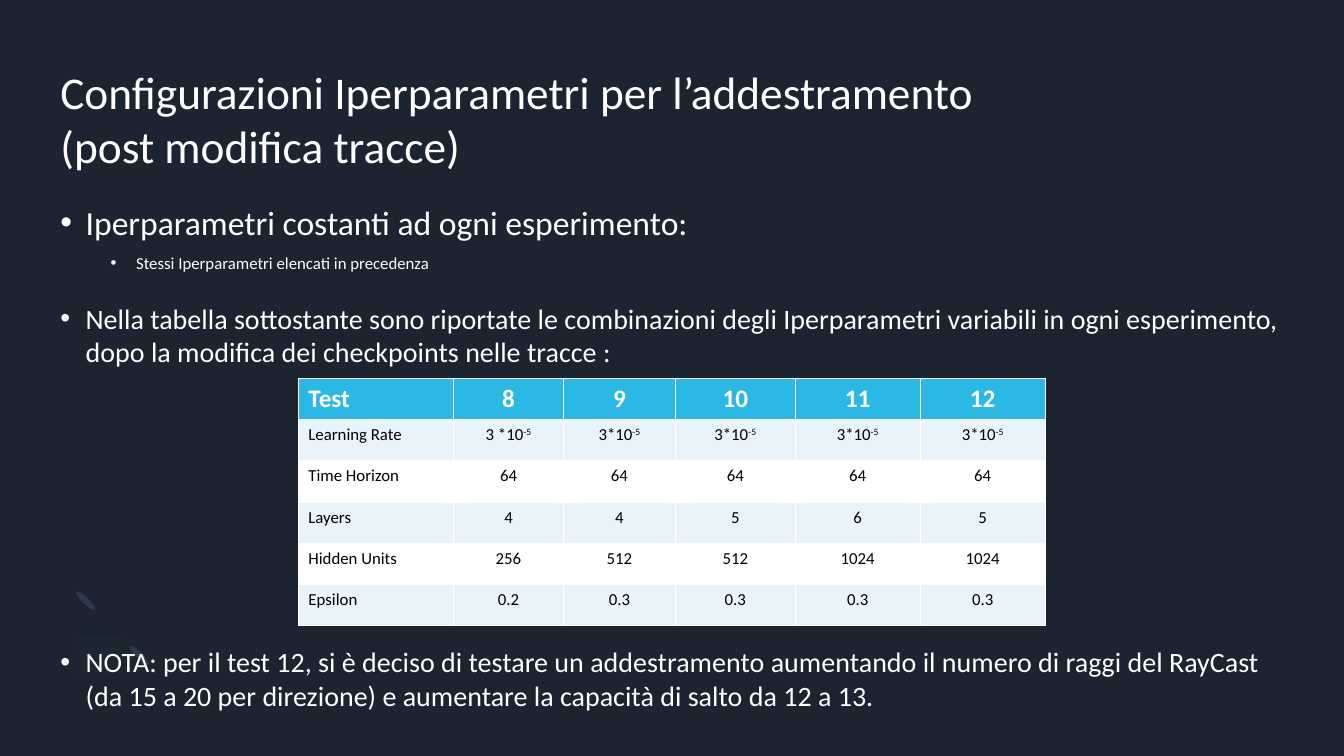
from lxml.etree import SubElement
from pptx import Presentation
from pptx.dml.color import RGBColor
from pptx.enum.shapes import MSO_SHAPE
from pptx.enum.text import MSO_ANCHOR, PP_ALIGN
from pptx.oxml import parse_xml
from pptx.oxml.ns import nsdecls, qn
from pptx.util import Cm, Pt

FONT = "Calibri"
COLORS = {
    "background": "1B2430",
    "ornament": "2B394C",
    "arc": "748EB1",
    "white": "FFFFFF",
    "black": "000000",
    "header": "2BB8E5",
    "band": "E8F3FA",
}
TITLE = "Configurazioni Iperparametri per l’addestramento\v(post modifica tracce)"
INTRO = [
    ("Iperparametri costanti ad ogni esperimento:", 24, 0.64, 0),
    ("Stessi Iperparametri elencati in precedenza", 12, 1.91, 0),
    ("Nella tabella sottostante sono riportate le combinazioni degli "
     "Iperparametri variabili in ogni esperimento, dopo la modifica dei "
     "checkpoints nelle tracce :", 20, 0.64, 12),
]
NOTE = [
    ("NOTA: per il test 12, si è deciso di testare un addestramento aumentando "
     "il numero di raggi del RayCast (da 15 a 20 per direzione) e aumentare la "
     "capacità di salto da 12 a 13.", 20, 0.64, 0),
]
TESTS = [
    ["Test", "8", "9", "10", "11", "12"],
    ["Learning Rate", "3 *10^-5"] + ["3*10^-5"] * 4,
    ["Time Horizon"] + ["64"] * 5,
    ["Layers", "4", "4", "5", "6", "5"],
    ["Hidden Units", "256", "512", "512", "1024", "1024"],
    ["Epsilon", "0.2"] + ["0.3"] * 4,
]
COLUMN_WIDTHS = [3.91, 2.77, 2.82, 3.02, 3.15, 3.15]
ROW_HEIGHT = 1.04
LEFT, WIDTH = 1.52, 30.81
ELLIPSE_CENTRES = [(3.51, 16.51), (2.16, 15.14)]
ARC_START = (1.93, 16.74)
ARC_PARTS = [
    [(1.42, 16.23), (1.47, 15.37), (2.06, 14.78)],
    [(2.51, 15.24)],
    [(2.21, 15.52), (2.18, 15.98), (2.44, 16.21)],
    [(2.69, 16.46), (3.12, 16.43), (3.43, 16.15)],
    [(3.86, 16.61)],
    [(3.3, 17.17), (2.41, 17.25), (1.93, 16.74)],
]


def color(name):
    return RGBColor.from_string(COLORS[name])


def style_font(font, size, name="white", bold=False):
    font.name, font.size, font.bold = FONT, Pt(size), bold
    font.color.rgb = color(name)


def paint(shape, name):
    shape.shadow.inherit = False
    shape.fill.solid()
    shape.fill.fore_color.rgb = color(name)
    shape.line.fill.background()


def arc_points(steps=12):
    points, start = [], ARC_START
    for part in ARC_PARTS:
        if len(part) == 1:
            points += part
        else:
            controls = [start] + part
            for step in range(1, steps + 1):
                t = step / steps
                weights = ((1 - t) ** 3, 3 * t * (1 - t) ** 2, 3 * t * t * (1 - t), t ** 3)
                points.append(tuple(sum(w * point[axis] for w, point in zip(weights, controls))
                                    for axis in (0, 1)))
        start = part[-1]
    return points


def add_ornament(slide):
    for x, y in ELLIPSE_CENTRES:
        ellipse = slide.shapes.add_shape(
            MSO_SHAPE.OVAL, Cm(x - 0.08), Cm(y - 0.33), Cm(0.16), Cm(0.66))
        ellipse.rotation = 135
        paint(ellipse, "ornament")
    builder = slide.shapes.build_freeform(*ARC_START, scale=Cm(1))
    builder.add_line_segments(arc_points(), close=True)
    arc = builder.convert_to_shape()
    paint(arc, "arc")
    arc_color = arc._element.spPr.find(qn("a:solidFill"))[0]
    SubElement(arc_color, qn("a:alpha"), val="3000")


def add_bullets(slide, top, height, items):
    frame = slide.shapes.add_textbox(Cm(LEFT), Cm(top), Cm(WIDTH), Cm(height)).text_frame
    frame.word_wrap = True
    frame.margin_left = frame.margin_right = frame.margin_top = frame.margin_bottom = 0
    for index, (text, size, indent, before) in enumerate(items):
        paragraph = frame.add_paragraph() if index else frame.paragraphs[0]
        paragraph.text = text
        properties = paragraph._p.get_or_add_pPr()
        properties.set("marL", str(Cm(indent)))
        properties.set("indent", str(-Cm(0.64)))
        SubElement(properties, qn("a:buFont"), typeface="Arial")
        SubElement(properties, qn("a:buChar"), char="•")
        paragraph.space_before, paragraph.space_after = Pt(before), Pt(8)
        style_font(paragraph.font, size)


def add_borders(cell):
    properties = cell._tc.get_or_add_tcPr()
    for index, side in enumerate(("lnL", "lnR", "lnT", "lnB")):
        properties.insert(index, parse_xml(
            f'<a:{side} {nsdecls("a")} w="12700"><a:solidFill>'
            f'<a:srgbClr val="{COLORS["white"]}"/></a:solidFill></a:{side}>'))


def fill_cell(cell, text, row, column):
    base, _, exponent = text.partition("^")
    paragraph = cell.text_frame.paragraphs[0]
    paragraph.text = base
    if exponent:
        run = paragraph.add_run()
        run.text = exponent
        run._r.get_or_add_rPr().set("baseline", "30000")
    if column:
        paragraph.alignment = PP_ALIGN.CENTER
    header = row == 0
    style_font(paragraph.font, 18 if header else 12, "white" if header else "black", header)
    cell.fill.solid()
    cell.fill.fore_color.rgb = color("header" if header else "band" if row % 2 else "white")
    add_borders(cell)


def add_tests(slide):
    table = slide.shapes.add_table(
        len(TESTS), len(COLUMN_WIDTHS), Cm(7.52), Cm(9.53),
        Cm(sum(COLUMN_WIDTHS)), Cm(ROW_HEIGHT * len(TESTS))).table
    for column, width in zip(table.columns, COLUMN_WIDTHS):
        column.width = Cm(width)
    for row, values in enumerate(TESTS):
        table.rows[row].height = Cm(ROW_HEIGHT)
        for column, text in enumerate(values):
            fill_cell(table.cell(row, column), text, row, column)


def main():
    presentation = Presentation()
    presentation.slide_width, presentation.slide_height = Cm(33.87), Cm(19.05)
    slide = presentation.slides.add_slide(presentation.slide_layouts[5])
    slide.background.fill.solid()
    slide.background.fill.fore_color.rgb = color("background")

    add_ornament(slide)
    title = slide.shapes.title
    title.left, title.top, title.width, title.height = Cm(LEFT), Cm(1.52), Cm(WIDTH), Cm(2.92)
    frame = title.text_frame
    frame.margin_left = frame.margin_right = frame.margin_top = frame.margin_bottom = 0
    frame.vertical_anchor = MSO_ANCHOR.MIDDLE
    frame.text = TITLE
    frame.paragraphs[0].alignment = PP_ALIGN.LEFT
    style_font(frame.paragraphs[0].font, 32.4)

    add_bullets(slide, 5.08, 4.4, INTRO)
    add_bullets(slide, 16.25, 2.2, NOTE)
    add_tests(slide)
    presentation.save("out.pptx")


if __name__ == "__main__":
    main()
